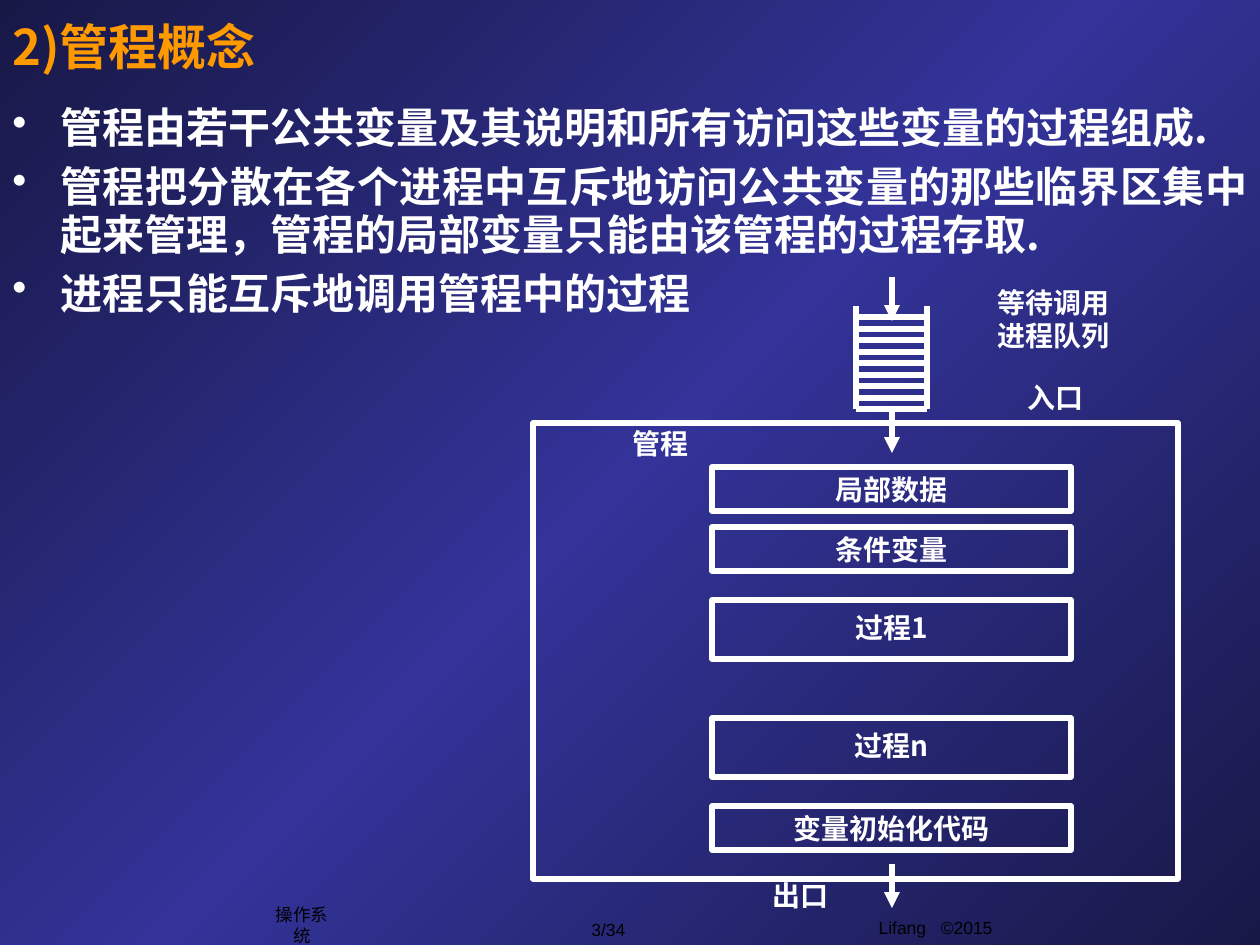
import copy

import lxml.etree
import pptx
import pptx.dml.color
import pptx.enum.shapes
import pptx.enum.text
import pptx.oxml.ns
import pptx.util

WHITE = pptx.dml.color.RGBColor(0xFF, 0xFF, 0xFF)
BLACK = pptx.dml.color.RGBColor(0x00, 0x00, 0x00)
ORANGE = pptx.dml.color.RGBColor(0xFF, 0x99, 0x00)
NAVY = pptx.dml.color.RGBColor(0x18, 0x18, 0x47)
INDIGO = pptx.dml.color.RGBColor(0x33, 0x33, 0x99)
SC, JP = "Noto Sans CJK SC", "Noto Sans CJK JP"
PX = 914400 / 126
qn = pptx.oxml.ns.qn
ALIGN = pptx.enum.text.PP_ALIGN
MIDDLE = pptx.enum.text.MSO_ANCHOR.MIDDLE

presentation = pptx.Presentation()
presentation.slide_width = round(1260 * PX)
presentation.slide_height = round(945 * PX)
slide = presentation.slides.add_slide(presentation.slide_layouts[6])


def write(paragraph, text, size=16, font=SC, color=WHITE, bold=True, align=ALIGN.CENTER):
    paragraph.alignment = align
    run = paragraph.add_run()
    run.text = text
    run.font.size = pptx.util.Pt(size)
    run.font.name = font
    run.font.bold = bold
    run.font.color.rgb = color
    east_asian = SC if font == "Arial" else font
    lxml.etree.SubElement(run.font._element, qn("a:ea")).set("typeface", east_asian)
    return run


def add_line(x1, y1, x2, y2, arrow=False):
    line = slide.shapes.add_connector(
        pptx.enum.shapes.MSO_CONNECTOR.STRAIGHT, *[round(v * PX) for v in (x1, y1, x2, y2)])
    line.line.color.rgb = WHITE
    line.line.width = pptx.util.Pt(3)
    if arrow:
        lxml.etree.SubElement(line.line._get_or_add_ln(), qn("a:tailEnd")).set("type", "triangle")
    lxml.etree.SubElement(line._element.spPr, qn("a:effectLst"))


# Background: diagonal gradient, dark at both corners
fill = slide.background.fill
fill.gradient()
fill.gradient_angle = 315
stop_list = slide._element.find(".//" + qn("a:gsLst"))
stop_list.insert(1, copy.deepcopy(stop_list[0]))
for stop, position, color in zip(fill.gradient_stops, (0, 0.5, 1), (NAVY, INDIGO, NAVY)):
    stop.position = position
    stop.color.rgb = color

# Footer
for text, left, top, width, height, wrap in (
        ("Lifang ©2015", 736, 911, 399, 44, True),
        ("3/34", 544, 912, 129, 34, False),
        ("操作系统", 255, 908, 94, 34, False)):
    box = slide.shapes.add_textbox(*[round(v * PX) for v in (left, top, width, height)])
    frame = box.text_frame
    frame.word_wrap = wrap
    if not wrap:
        frame.vertical_anchor = MIDDLE
    first, space, rest = text.partition(" ")
    for part in filter(None, (first, space, rest)):
        run = write(frame.paragraphs[0], part, 10, "Arial", BLACK, False)
        if part == " ":
            run.font._element.set("spc", "560")  # widen the gap before the year

# Title
title = slide.shapes.add_textbox(0, 0, round(1071 * PX), round(92 * PX))
title.text_frame.word_wrap = True
title.text_frame.vertical_anchor = MIDDLE
write(title.text_frame.paragraphs[0], "2)管程概念", 28, color=ORANGE, align=ALIGN.LEFT)

# Bulleted body
body = slide.shapes.add_textbox(0, round(98 * PX), round(1260 * PX), round(233 * PX))
body.text_frame.word_wrap = True
for index, text in enumerate((
        "管程由若干公共变量及其说明和所有访问这些变量的过程组成.",
        "管程把分散在各个进程中互斥地访问公共变量的那些临界区集中起来管理，管程的局部变量只能由该管程的过程存取.",
        "进程只能互斥地调用管程中的过程")):
    paragraph = body.text_frame.add_paragraph() if index else body.text_frame.paragraphs[0]
    paragraph.line_spacing = pptx.util.Pt(27.5)
    if index:
        paragraph.space_before = pptx.util.Pt(6)
    properties = paragraph._p.get_or_add_pPr()
    properties.set("marL", str(round(48 * PX)))
    properties.set("indent", str(round(-48 * PX)))
    bullet_color = lxml.etree.SubElement(properties, qn("a:buClr"))
    lxml.etree.SubElement(bullet_color, qn("a:srgbClr")).set("val", str(WHITE))
    lxml.etree.SubElement(properties, qn("a:buChar")).set("char", "•")
    write(paragraph, text, 24, JP, align=ALIGN.JUSTIFY)

# Monitor frame and its inner blocks
for text, left, top, width, height, inset in (
        ("", 533, 423, 645, 456, 6),
        ("局部数据", 712, 467, 359, 44, 6),
        ("条件变量", 712, 527, 359, 44, 6),
        ("过程1", 712, 600, 359, 59, 11),
        ("过程n", 712, 718, 359, 59, 11),
        ("变量初始化代码", 712, 806, 359, 44, 6)):
    block = slide.shapes.add_shape(
        pptx.enum.shapes.MSO_SHAPE.RECTANGLE, *[round(v * PX) for v in (left, top, width, height)])
    block.shadow.inherit = False
    block.fill.background()
    block.line.color.rgb = WHITE
    block.line.width = pptx.util.Pt(3)
    frame = block.text_frame
    frame.vertical_anchor = pptx.enum.text.MSO_ANCHOR.TOP
    frame.margin_top = frame.margin_bottom = round(inset * PX)
    if text:
        write(frame.paragraphs[0], text)

# Labels
for lines, left, top, width, height in (
        (("出口",), 709, 879, 183, 38),
        (("管程",), 569, 427, 183, 40),
        (("入口",), 964, 381, 183, 43),
        (("等待调用", "进程队列"), 964, 286, 179, 78)):
    label = slide.shapes.add_textbox(*[round(v * PX) for v in (left, top, width, height)])
    frame = label.text_frame
    frame.word_wrap = True
    frame.margin_left = frame.margin_right = frame.margin_top = frame.margin_bottom = 0
    for index, text in enumerate(lines):
        paragraph = frame.add_paragraph() if index else frame.paragraphs[0]
        if len(lines) > 1:
            paragraph.line_spacing = pptx.util.Pt(19)
        write(paragraph, text)

# Waiting queue: two rails and nine evenly spaced rungs
for x in (856, 927):
    add_line(x, 306, x, 409)
for rung in range(9):
    y = 409 - rung * 23 // 2
    add_line(856, y, 927, y)

# Arrows into the queue, into the monitor and out of it
for y in (277, 409, 864):
    add_line(892, y, 892, y + 44, arrow=True)

presentation.save("out.pptx")
